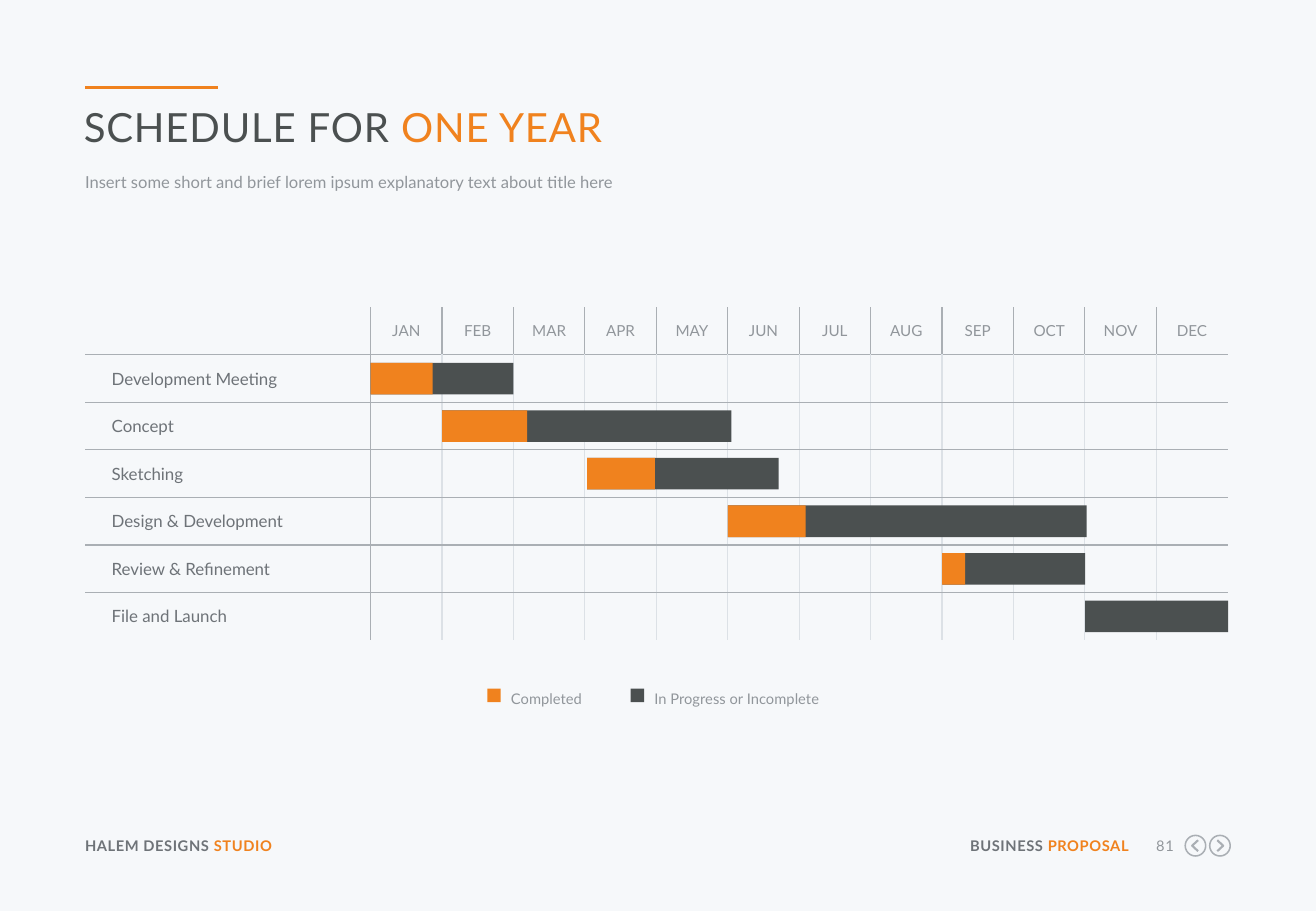
import dataclasses
import typing

import lxml.etree
import pptx
import pptx.dml.color
import pptx.enum.shapes
import pptx.enum.text
import pptx.oxml.ns
import pptx.util

WIDTH, HEIGHT = pptx.util.Inches(10.83), pptx.util.Inches(7.5)
FONT = "Lato"
ORANGE, DARK, SLATE = "F0821E", "4B5050", "6E7378"
GREY, RULE, PALE, PAPER = "91969B", "AAAFB4", "DCE1E6", "F6F8FA"
ALIGN = pptx.enum.text.PP_ALIGN
ANCHOR = pptx.enum.text.MSO_ANCHOR
SHAPE = pptx.enum.shapes.MSO_SHAPE

MARGIN, TABLE_TOP = 6.46, 33.73
LABEL_WIDTH, MONTH_WIDTH, ROW_HEIGHT = 21.7, 5.43, 5.22
BAR_HEIGHT = 3.47
MONTHS = "JAN FEB MAR APR MAY JUN JUL AUG SEP OCT NOV DEC".split()

Spans = list[tuple[str, str]]


@dataclasses.dataclass(frozen=True)
class Area:
    """Percentages of the slide's width and height."""

    left: float
    top: float
    width: float
    height: float

    def lengths(self) -> tuple[int, int, int, int]:
        return across(self.left), down(self.top), across(self.width), down(self.height)


@dataclasses.dataclass(frozen=True)
class Task:
    name: str
    start: float
    months: float
    completed: float


@dataclasses.dataclass(frozen=True)
class Caption:
    area: Area
    spans: Spans
    style: dict[str, typing.Any]


@dataclasses.dataclass(frozen=True)
class LegendEntry:
    label: str
    color: str
    left: float
    label_width: float


TASKS = [
    Task("Development Meeting", 0, 2, 0.87),
    Task("Concept", 1, 4.05, 1.19),
    Task("Sketching", 3.03, 2.68, 0.95),
    Task("Design & Development", 5, 5.02, 1.09),
    Task("Review & Refinement", 8, 2, 0.32),
    Task("File and Launch", 10, 2, 0),
]
FOOTER = {"size": 8.7, "spacing": 0.3}
CAPTIONS = [
    Caption(
        Area(MARGIN, 18.67, 86.98, 2.8),
        [("Insert some short and brief lorem ipsum explanatory text about title here", GREY)],
        {"size": 9.8, "line": 13},
    ),
    Caption(
        Area(MARGIN, 91.87, 19.48, 2),
        [("HALEM DESIGNS ", SLATE), ("STUDIO", ORANGE)],
        {**FOOTER, "bold": True},
    ),
    Caption(
        Area(73.13, 91.87, 12.65, 2),
        [("BUSINESS ", SLATE), ("PROPOSAL", ORANGE)],
        {**FOOTER, "bold": True, "align": ALIGN.RIGHT},
    ),
    Caption(Area(86.89, 91.87, 2.31, 2), [("81", GREY)], {**FOOTER, "align": ALIGN.RIGHT}),
]
LEGEND = [
    LegendEntry("Completed", ORANGE, 37.03, 6.28),
    LegendEntry("In Progress or Incomplete", DARK, 47.92, 13.3),
]


def across(share: float) -> int:
    return round(WIDTH * share / 100)


def down(share: float) -> int:
    return round(HEIGHT * share / 100)


def rgb(color: str) -> pptx.dml.color.RGBColor:
    return pptx.dml.color.RGBColor.from_string(color)


def write(frame, spans: Spans, *, size: float, bold: bool = False, spacing: float = 0,
          align=ALIGN.LEFT, line: float | None = None, after: float = 0) -> None:
    para = frame.paragraphs[0]
    para.alignment = align
    para.space_after = pptx.util.Pt(after)
    if line:
        para.line_spacing = pptx.util.Pt(line)
    for text, color in spans:
        span = para.add_run()
        span.text = text
        span.font.name, span.font.size = FONT, pptx.util.Pt(size)
        span.font.bold = bold
        span.font.color.rgb = rgb(color)
        if spacing:
            span._r.get_or_add_rPr().set("spc", str(round(spacing * 100)))


def clear_margins(holder) -> None:
    holder.margin_left = holder.margin_right = holder.margin_top = holder.margin_bottom = 0


def prepare(frame) -> None:
    clear_margins(frame)
    frame.word_wrap = True
    frame.auto_size = pptx.enum.text.MSO_AUTO_SIZE.NONE
    frame.vertical_anchor = ANCHOR.TOP


def add_caption(page, caption: Caption) -> None:
    box = page.shapes.add_textbox(*caption.area.lengths())
    prepare(box.text_frame)
    write(box.text_frame, caption.spans, **caption.style)


def add_block(page, area: Area, color: str) -> None:
    block = page.shapes.add_shape(SHAPE.RECTANGLE, *area.lengths())
    block.shadow.inherit = False
    block.fill.solid()
    block.fill.fore_color.rgb = rgb(color)
    block.line.fill.background()


def add_title(page) -> None:
    title = page.shapes.title
    title.left, title.top, title.width, title.height = Area(6.37, 11.2, 86.98, 5.47).lengths()
    prepare(title.text_frame)
    write(title.text_frame, [("SCHEDULE FOR ", DARK), ("ONE YEAR", ORANGE)],
          size=23.8, spacing=0.5)
    accent = page.shapes.add_connector(
        pptx.enum.shapes.MSO_CONNECTOR.STRAIGHT,
        across(MARGIN), down(9.6), across(16.53), down(9.6))
    accent.line.color.rgb = rgb(ORANGE)
    accent.line.width = pptx.util.Pt(2.25)
    lxml.etree.SubElement(accent._element.spPr, pptx.oxml.ns.qn("a:effectLst"))


def vertical_border(row: int, edge: int) -> str | None:
    if edge in (0, len(MONTHS) + 1):
        return None
    return RULE if row == 0 or edge == 1 else PALE


def horizontal_border(edge: int) -> str | None:
    return None if edge in (0, len(TASKS) + 1) else RULE


def set_border(cell, side: str, color: str | None) -> None:
    qn = pptx.oxml.ns.qn
    border = lxml.etree.SubElement(
        cell._tc.get_or_add_tcPr(), qn(f"a:ln{side}"), w=str(pptx.util.Pt(0.75)))
    if color is None:
        lxml.etree.SubElement(border, qn("a:noFill"))
    else:
        fill = lxml.etree.SubElement(border, qn("a:solidFill"))
        lxml.etree.SubElement(fill, qn("a:srgbClr"), val=color)


def add_schedule(page) -> None:
    rows, columns = len(TASKS) + 1, len(MONTHS) + 1
    area = Area(MARGIN, TABLE_TOP, LABEL_WIDTH + MONTH_WIDTH * len(MONTHS), ROW_HEIGHT * rows)
    table = page.shapes.add_table(rows, columns, *area.lengths()).table
    table.first_row = table.horz_banding = False
    for index, column in enumerate(table.columns):
        column.width = across(MONTH_WIDTH if index else LABEL_WIDTH)
    for row in range(rows):
        table.rows[row].height = down(ROW_HEIGHT)
        for column in range(columns):
            cell = table.cell(row, column)
            clear_margins(cell)
            cell.vertical_anchor = ANCHOR.MIDDLE
            set_border(cell, "L", vertical_border(row, column))
            set_border(cell, "R", vertical_border(row, column + 1))
            set_border(cell, "T", horizontal_border(row))
            set_border(cell, "B", horizontal_border(row + 1))
            cell.fill.background()
    for column, month in enumerate(MONTHS, 1):
        write(table.cell(0, column).text_frame, [(month, GREY)], size=9, align=ALIGN.CENTER)
    for row, task in enumerate(TASKS, 1):
        cell = table.cell(row, 0)
        cell.margin_left = across(2.03)
        write(cell.text_frame, [(task.name, SLATE)], size=10)


def add_bars(page) -> None:
    for row, task in enumerate(TASKS, 1):
        left = MARGIN + LABEL_WIDTH + task.start * MONTH_WIDTH
        top = TABLE_TOP + row * ROW_HEIGHT + (ROW_HEIGHT - BAR_HEIGHT) / 2
        for months, color in ((task.months, DARK), (task.completed, ORANGE)):
            if months:
                add_block(page, Area(left, top, months * MONTH_WIDTH, BAR_HEIGHT), color)


def add_legend(page) -> None:
    for entry in LEGEND:
        add_block(page, Area(entry.left, 75.6, 1.02, 1.47), entry.color)
        add_caption(page, Caption(
            Area(entry.left + 1.8, 75.07, entry.label_width, 2.67), [(entry.label, GREY)],
            {"size": 8.7, "align": ALIGN.JUSTIFY, "line": 14.1, "after": 6.5}))


def add_arrow_button(page, center: float, direction: int) -> None:
    middle = 92.83
    ring = page.shapes.add_shape(
        SHAPE.OVAL, *Area(center - 0.78, middle - 1.13, 1.56, 2.26).lengths())
    tip, tail = across(center + direction * 0.25), across(center - direction * 0.2)
    builder = page.shapes.build_freeform(tail, down(middle - 0.6))
    builder.add_line_segments([(tip, down(middle)), (tail, down(middle + 0.6))], close=False)
    for part, weight in ((ring, 0.9), (builder.convert_to_shape(), 1.25)):
        part.shadow.inherit = False
        part.fill.background()
        part.line.color.rgb = rgb(RULE)
        part.line.width = pptx.util.Pt(weight)


def main() -> None:
    deck = pptx.Presentation()
    deck.slide_width, deck.slide_height = WIDTH, HEIGHT
    page = deck.slides.add_slide(deck.slide_layouts.get_by_name("Title Only"))
    page.background.fill.solid()
    page.background.fill.fore_color.rgb = rgb(PAPER)
    add_title(page)
    for caption in CAPTIONS:
        add_caption(page, caption)
    add_arrow_button(page, 90.84, -1)
    add_arrow_button(page, 92.7, 1)
    add_schedule(page)
    add_bars(page)
    add_legend(page)
    deck.save("out.pptx")


if __name__ == "__main__":
    main()
